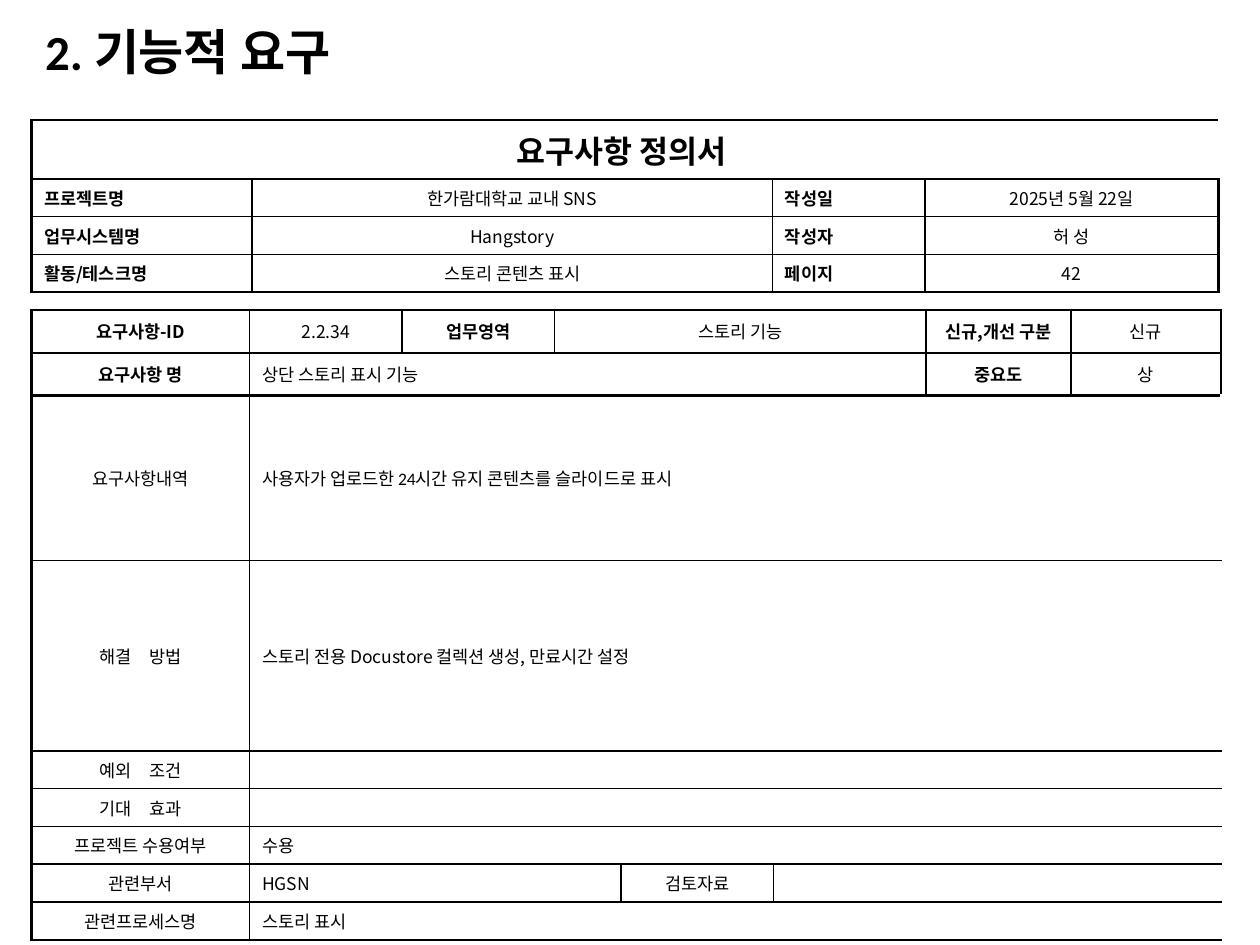
"""Build the functional requirement definition slide."""
import dataclasses
import typing

import pptx
import pptx.dml.color
import pptx.enum.text
import pptx.oxml
import pptx.oxml.ns
import pptx.util

Inches = pptx.util.Inches
Pt = pptx.util.Pt
ALIGN = pptx.enum.text.PP_ALIGN
ANCHOR = pptx.enum.text.MSO_ANCHOR
BLACK = pptx.dml.color.RGBColor(0, 0, 0)
KOREAN = "Noto Sans CJK KR"
LATIN = "Calibri"
THIN, THICK = 1, 1.5


@dataclasses.dataclass(frozen=True)
class Entry:
    text: str = ""
    span: int = 1
    bold: bool = False
    align: typing.Any = ALIGN.CENTER
    size: float = 10
    font: str = KOREAN
    anchor: typing.Any = ANCHOR.MIDDLE


@dataclasses.dataclass(frozen=True)
class Form:
    left: float
    top: float
    widths: list[float]
    heights: list[float]
    rows: list[list[Entry]]
    thick_below: tuple[int, ...] = ()


def head(text: str) -> Entry:
    return Entry(text, bold=True)


def body(text: str, span: int = 7, font: str = KOREAN) -> Entry:
    return Entry(text, span, align=ALIGN.LEFT, font=font)


def info_row(label: str, value: str, side_label: str, side_value: str) -> list[Entry]:
    return [
        Entry(text, bold=bold, align=ALIGN.JUSTIFY if bold else ALIGN.CENTER, anchor=ANCHOR.TOP)
        for text, bold in ((label, True), (value, False), (side_label, True), (side_value, False))
    ]


PROJECT = Form(
    0.25, 0.95, [1.75, 4.13, 1.21, 2.33], [0.47, 0.3, 0.3, 0.3],
    [
        [Entry("요구사항 정의서 ", 4, True, size=18)],
        info_row("프로젝트명", "한가람대학교 교내 SNS", "작성일", "2025년 5월 22일"),
        info_row("업무시스템명 ", "Hangstory", "작성자", "허 성"),
        info_row("활동/테스크명", "스토리 콘텐츠 표시", "페이지", "42"),
    ],
)

REQUIREMENT = Form(
    0.25, 2.46, [1.73, 1.21, 1.21, 0.53, 1.21, 1.21, 1.15, 1.19],
    [0.34, 0.34, 1.31, 1.51] + [0.3] * 5,
    [
        [head("요구사항-ID"), Entry("2.2.34"), head("업무영역"), Entry("스토리 기능", 3),
         head("신규,개선 구분"), Entry("신규")],
        [head("요구사항 명"), body("상단 스토리 표시 기능", 5), head("중요도"), Entry("상")],
        [Entry("요구사항내역"),
         body("사용자가 업로드한 24시간 유지 콘텐츠를 슬라이드로 표시", font=LATIN)],
        [Entry("해결　방법"), body("스토리 전용 Docustore 컬렉션 생성, 만료시간 설정")],
        [Entry("예외　조건"), body("")],
        [Entry("기대　효과"), body("")],
        [Entry("프로젝트 수용여부"), body("수용")],
        [Entry("관련부서"), body("HGSN", 3), Entry("검토자료"), body("", 3)],
        [Entry("관련프로세스명"), body("스토리 표시")],
    ],
    thick_below=(0, 1),
)


def style_paragraph(p: typing.Any, size: float, font: str, bold: bool) -> None:
    p.font.size = Pt(size)
    p.font.name = font
    p.font.bold = bold
    p.font.color.rgb = BLACK


def set_borders(cell: typing.Any, edges: dict[str, float]) -> None:
    tc_pr = cell._tc.get_or_add_tcPr()
    for side, width in edges.items():
        tc_pr.append(pptx.oxml.parse_xml(
            f'<a:ln{side} {pptx.oxml.ns.nsdecls("a")} w="{Pt(width)}">'
            f'<a:solidFill><a:srgbClr val="{BLACK}"/></a:solidFill></a:ln{side}>'
        ))


def fill_entry(cell: typing.Any, entry: Entry) -> None:
    cell.vertical_anchor = entry.anchor
    p = cell.text_frame.paragraphs[0]
    p.alignment = entry.align
    if entry.text:
        p.add_run().text = entry.text
    style_paragraph(p, entry.size, entry.font, entry.bold)


def draw_form(s: typing.Any, form: Form) -> None:
    n_rows, n_cols = len(form.heights), len(form.widths)
    table = s.shapes.add_table(
        n_rows, n_cols, Inches(form.left), Inches(form.top),
        Inches(sum(form.widths)), Inches(sum(form.heights)),
    ).table
    table.first_row = table.horz_banding = False
    for column, width in zip(table.columns, form.widths):
        column.width = Inches(width)
    for row, height in zip(table.rows, form.heights):
        row.height = Inches(height)
    thick_rows = {-1, n_rows - 1, *form.thick_below}
    for r, entries in enumerate(form.rows):
        start = 0
        for entry in entries:
            end = start + entry.span
            for c in range(start, end):
                edges = {}
                if c == start:
                    edges["L"] = THICK if c == 0 else THIN
                if c == end - 1:
                    edges["R"] = THICK if end == n_cols else THIN
                edges["T"] = THICK if r - 1 in thick_rows else THIN
                edges["B"] = THICK if r in thick_rows else THIN
                set_borders(table.cell(r, c), edges)
                table.cell(r, c).fill.background()
            if entry.span > 1:
                table.cell(r, start).merge(table.cell(r, end - 1))
            fill_entry(table.cell(r, start), entry)
            start = end


def draw_title(s: typing.Any, text: str) -> None:
    sp = s.shapes.add_textbox(Inches(0.26), Inches(0.21), Inches(5.36), Inches(0.44))
    tf = sp.text_frame
    tf.word_wrap = True
    tf.vertical_anchor = ANCHOR.MIDDLE
    p = tf.paragraphs[0]
    p.text = text
    p.line_spacing = 0.9
    style_paragraph(p, 28, LATIN, True)


def main() -> None:
    prs = pptx.Presentation()
    prs.slide_width, prs.slide_height = Inches(10), Inches(7.5)
    s = prs.slides.add_slide(prs.slide_layouts[6])
    draw_title(s, "2. 기능적 요구")
    for form in (REQUIREMENT, PROJECT):
        draw_form(s, form)
    prs.save("out.pptx")


if __name__ == "__main__":
    main()
